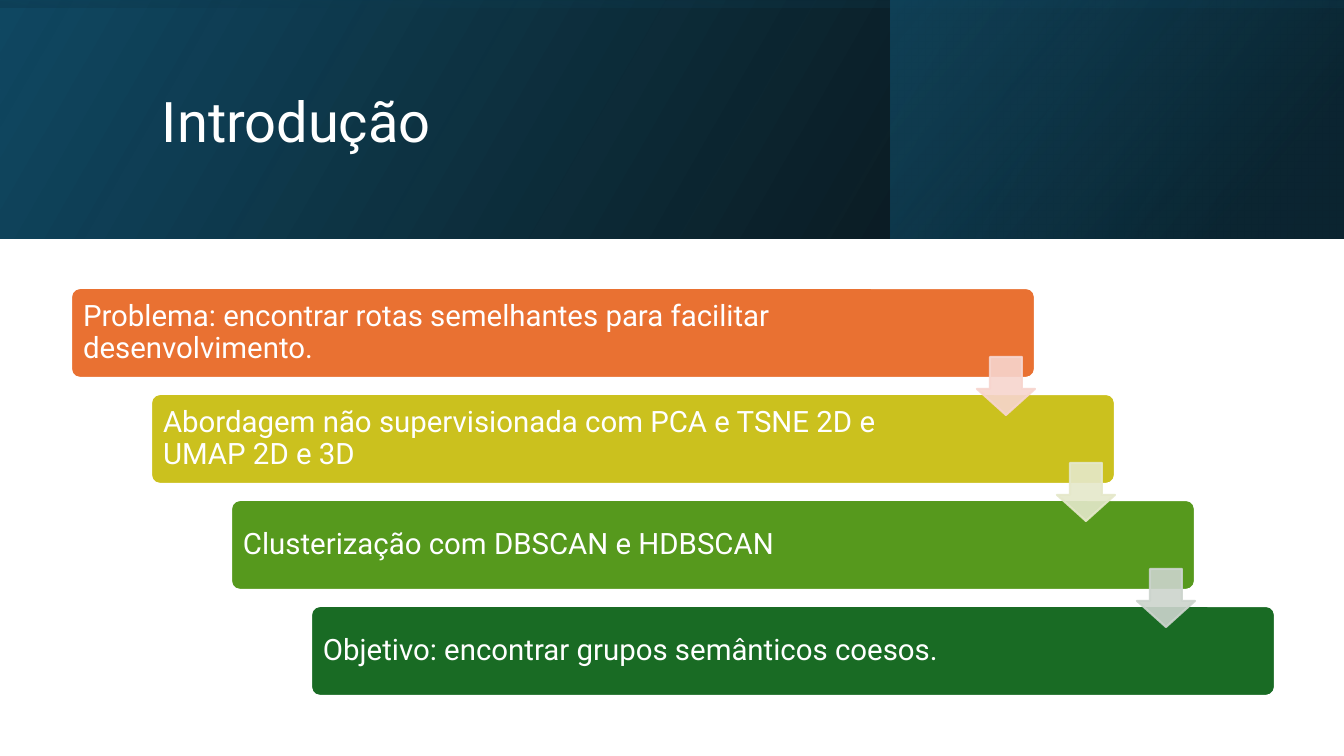
from pptx import Presentation
from pptx import util as u
from pptx.dml.color import RGBColor
from pptx.enum import shapes, text
from pptx.oxml.ns import qn
from lxml import etree

PX = u.Inches(13.3333) / 1344
FONT = "Roboto"
WHITE = "FFFFFF"

TITLE = "Introdução"
STEPS = [
    ("Problema: encontrar rotas semelhantes para facilitar desenvolvimento.", "E97132", 860),
    ("Abordagem não supervisionada com PCA e TSNE 2D e UMAP 2D e 3D", "CBC11E", 820),
    ("Clusterização com DBSCAN e HDBSCAN", "56991D", 820),
    ("Objetivo: encontrar grupos semânticos coesos.", "196B24", 820),
]
ARROWS = ["F7D5CE", "E5E8CA", "CCD4CD"]
BANNER = [
    ((0, 0, 1344, 239), 0, 330, [(0, "000000", 96), (100, "104862", 100)]),
    ((891, 0, 452, 239), 0, 320, [(19, "0B3041", 68), (100, "156082", 48)]),
    ((552, -552, 239, 1344), 270, 350, [(23, "104862", 16), (99, "000000", 45)]),
]
BAR_LEFT, BAR_TOP, BAR_WIDTH, BAR_HEIGHT = 71, 288, 964, 90
ARROW_LEFT, ARROW_TOP, ARROW_SIZE = 977, 357, 58
STEP_X, STEP_Y = 80, 106


def px(value):
    return u.Emu(round(value * PX))


def rgb(value):
    return RGBColor.from_string(value)


def set_alpha(color, percent):
    etree.SubElement(color, qn("a:alpha")).set("val", str(percent * 1000))


def add_shape(page, kind, frame):
    shape = page.shapes.add_shape(kind, *map(px, frame))
    shape.shadow.inherit = False
    return shape


def add_solid(page, kind, frame, color, line, adjustments):
    shape = add_shape(page, kind, frame)
    for index, value in enumerate(adjustments):
        shape.adjustments[index] = value
    shape.fill.solid()
    shape.fill.fore_color.rgb = rgb(color)
    shape.line.color.rgb = rgb(line)
    shape.line.width = u.Pt(1.5)
    return shape


def add_gradient(page, frame, rotation, angle, stops):
    shape = add_shape(page, shapes.MSO_SHAPE.RECTANGLE, frame)
    shape.rotation = rotation
    shape.line.fill.background()
    shape.fill.gradient()
    shape.fill.gradient_angle = 360 - angle
    for stop, (position, color, _) in zip(shape.fill.gradient_stops, stops):
        stop.position = position / 100
        stop.color.rgb = rgb(color)
    properties = shape.element.spPr
    properties.find(qn("a:xfrm")).set("flipH", "1")
    for color, (_, _, alpha) in zip(properties.iter(qn("a:srgbClr")), stops):
        set_alpha(color, alpha)


def add_text(page, frame, words, size, inset_x, inset_y):
    box = page.shapes.add_textbox(*map(px, frame)).text_frame
    box.word_wrap = True
    box.vertical_anchor = text.MSO_ANCHOR.MIDDLE
    box.margin_left = box.margin_right = px(inset_x)
    box.margin_top = box.margin_bottom = px(inset_y)
    para = box.paragraphs[0]
    para.line_spacing = 0.9
    span = para.add_run()
    span.text = words
    span.font.size = u.Pt(size)
    span.font.name = FONT
    span.font.color.rgb = rgb(WHITE)


def main():
    deck = Presentation()
    deck.slide_width, deck.slide_height = px(1344), px(756)
    page = deck.slides.add_slide(deck.slide_layouts[6])

    for panel in BANNER:
        add_gradient(page, *panel)
    add_text(page, (152, 38, 1072, 173), TITLE, 40, 10, 5)

    for i, (words, color, width) in enumerate(STEPS):
        left, top = BAR_LEFT + i * STEP_X, BAR_TOP + i * STEP_Y
        add_solid(page, shapes.MSO_SHAPE.ROUNDED_RECTANGLE,
                  (left, top, BAR_WIDTH, BAR_HEIGHT), color, WHITE, [0.1])
        add_text(page, (left + 3, top + 3, width, BAR_HEIGHT - 6), words, 21, 9, 9)

    for i, color in enumerate(ARROWS):
        frame = (ARROW_LEFT + i * STEP_X, ARROW_TOP + i * STEP_Y, ARROW_SIZE, ARROW_SIZE)
        arrow = add_solid(page, shapes.MSO_SHAPE.DOWN_ARROW, frame, color, color, [0.55, 0.45])
        for tint in arrow.element.spPr.iter(qn("a:srgbClr")):
            set_alpha(tint, 90)

    deck.save("out.pptx")


if __name__ == "__main__":
    main()
